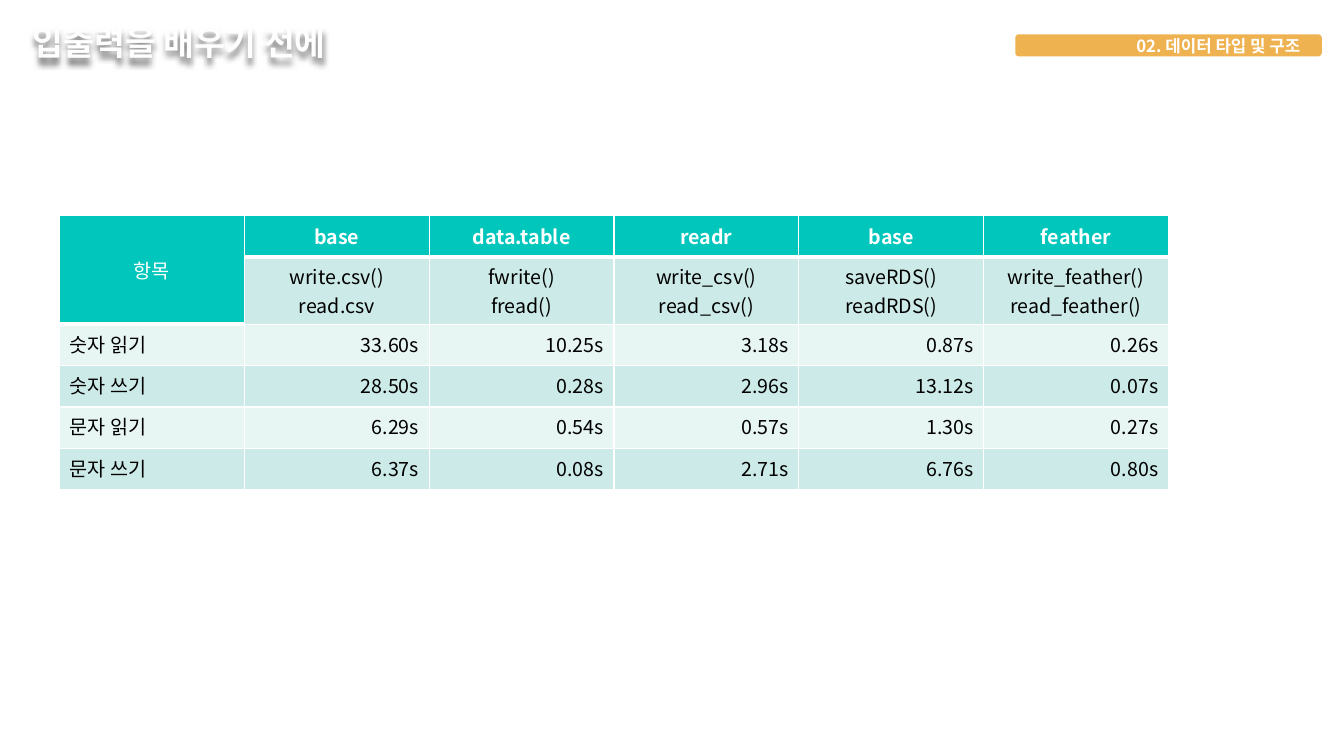
from lxml import etree
from pptx import Presentation
from pptx.dml.color import RGBColor
from pptx.enum.shapes import MSO_SHAPE
from pptx.enum.text import MSO_ANCHOR, PP_ALIGN
from pptx.oxml import parse_xml
from pptx.oxml.ns import qn
from pptx.util import Inches, Pt

LEFT, CENTER, RIGHT = PP_ALIGN.LEFT, PP_ALIGN.CENTER, PP_ALIGN.RIGHT
TOP, MIDDLE, BOTTOM = MSO_ANCHOR.TOP, MSO_ANCHOR.MIDDLE, MSO_ANCHOR.BOTTOM
ROUNDED = MSO_SHAPE.ROUNDED_RECTANGLE

WHITE = RGBColor(0xFF, 0xFF, 0xFF)
TITLE_WHITE = RGBColor(0xFE, 0xFE, 0xFE)
BLACK = RGBColor(0, 0, 0)
ORANGE = RGBColor(0xEF, 0xB2, 0x51)
TEAL = RGBColor(0x00, 0xC6, 0xBB)
MINT = RGBColor(0xCC, 0xEA, 0xE7)
PALE_MINT = RGBColor(0xE7, 0xF5, 0xF3)

BODY_FONT = "Noto Sans CJK KR"
DRAWING_NS = "http://schemas.openxmlformats.org/drawingml/2006/main"


def format_text(frame, size, color, bold, align, font=BODY_FONT):
    for para in frame.paragraphs:
        para.alignment = align
        for span in para.runs:
            span.font.size = Pt(size)
            span.font.bold = bold
            span.font.color.rgb = color
            span.font.name = font
            east_asian = etree.SubElement(span.font._element, qn("a:ea"))
            east_asian.set("typeface", BODY_FONT)


def add_border(cell, side, points):
    cell._tc.get_or_add_tcPr().append(parse_xml(
        f'<a:ln{side} xmlns:a="{DRAWING_NS}" w="{Pt(points)}"><a:solidFill>'
        f'<a:srgbClr val="{WHITE}"/></a:solidFill></a:ln{side}>'))


deck = Presentation()
deck.slide_width = Inches(13.33)
deck.slide_height = Inches(7.5)
page = deck.slides.add_slide(deck.slide_layouts[5])

# Title with a soft shadow
title = page.shapes.title
title.left, title.top = Inches(0.22), Inches(0.09)
title.width, title.height = Inches(11.56), Inches(0.58)
title.text_frame.text = "입출력을 배우기 전에"
title.text_frame.vertical_anchor = BOTTOM
format_text(title.text_frame, 24, TITLE_WHITE, True, LEFT, "League Spartan")
title._element.spPr.append(parse_xml(
    f'<a:effectLst xmlns:a="{DRAWING_NS}">'
    f'<a:outerShdw blurRad="{Pt(3)}" dist="{Pt(3)}" dir="5400000" algn="t" rotWithShape="0">'
    '<a:srgbClr val="000000"><a:alpha val="50000"/></a:srgbClr>'
    '</a:outerShdw></a:effectLst>'))

# Chapter tag
tag = page.shapes.add_shape(
    ROUNDED, Inches(10.07), Inches(0.34), Inches(3.04), Inches(0.22))
tag.shadow.inherit = False
tag.fill.solid()
tag.fill.fore_color.rgb = ORANGE
tag.line.fill.background()
tag_frame = tag.text_frame
tag_frame.text = "02. 데이터 타입 및 구조"
tag_frame.vertical_anchor = MIDDLE
tag_frame.margin_top = tag_frame.margin_bottom = 0
tag_frame.margin_right = Inches(0.2)
format_text(tag_frame, 12, WHITE, True, RIGHT)

# Timing table
rows = [
    ["항목", "base", "data.table", "readr", "base", "feather"],
    ["", "write.csv()\nread.csv", "fwrite()\nfread()", "write_csv()\nread_csv()",
     "saveRDS()\nreadRDS()", "write_feather()\nread_feather()"],
    ["숫자 읽기", "33.60s", "10.25s", "3.18s", "0.87s", "0.26s"],
    ["숫자 쓰기", "28.50s", "0.28s", "2.96s", "13.12s", "0.07s"],
    ["문자 읽기", "6.29s", "0.54s", "0.57s", "1.30s", "0.27s"],
    ["문자 쓰기", "6.37s", "0.08s", "2.71s", "6.76s", "0.80s"],
]
table = page.shapes.add_table(
    len(rows), len(rows[0]), Inches(0.59), Inches(2.14), Inches(11), Inches(2.46)).table
table.cell(0, 0).merge(table.cell(1, 0))

for row_index, row in enumerate(rows):
    table.rows[row_index].height = Inches(0.41)
    for column_index, text in enumerate(row):
        cell = table.cell(row_index, column_index)
        is_label = column_index == 0
        is_header = row_index == 0 or (row_index == 1 and is_label)
        if row_index < 2:
            align, anchor = CENTER, MIDDLE
        else:
            align, anchor = (LEFT if is_label else RIGHT), TOP

        cell.text_frame.text = text
        cell.vertical_anchor = anchor
        format_text(cell.text_frame, 14, WHITE if is_header else BLACK,
                    is_header and not is_label, align)
        for side in "LRTB":
            add_border(cell, side, 3 if is_header and side == "B" else 1)
        cell.fill.solid()
        if is_header:
            cell.fill.fore_color.rgb = TEAL
        else:
            cell.fill.fore_color.rgb = MINT if row_index % 2 else PALE_MINT

deck.save("out.pptx")
